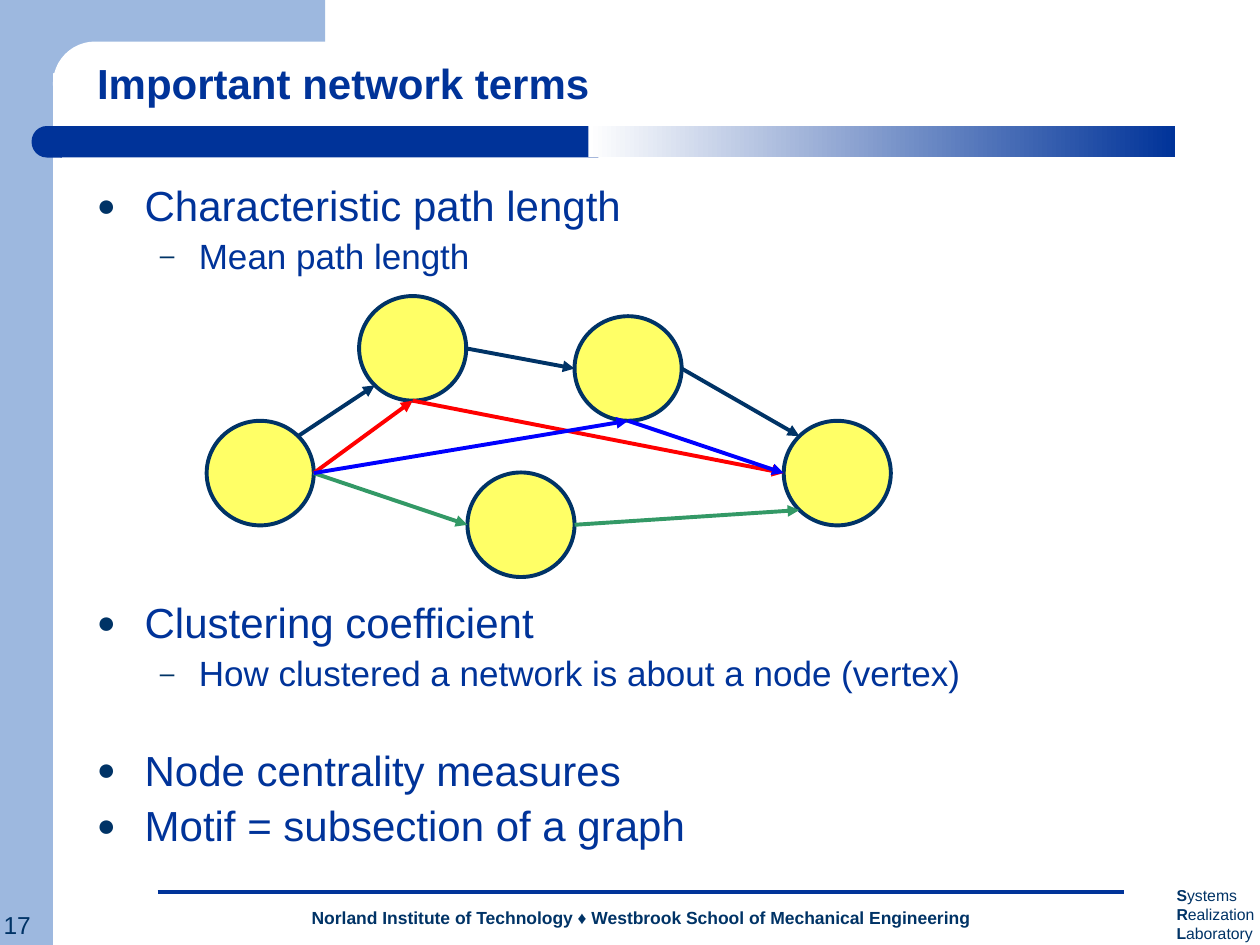
import math

import pptx
import pptx.util
import pptx.dml.color
import pptx.enum.dml
import pptx.enum.shapes
import pptx.enum.text
import pptx.oxml
import pptx.oxml.ns
from lxml import etree
from pptx.util import Inches, Pt

SHAPE = pptx.enum.shapes.MSO_SHAPE
ALIGN = pptx.enum.text.PP_ALIGN
NAVY, INK, PALE, WHITE = "003399", "003366", "9DB8DF", "FFFFFF"
RED, GREEN, BLUE, YELLOW = "FF0000", "339966", "0000FF", "FFFF66"

NODE_W, NODE_H = 0.85, 0.83
# Top left corner of each node, relative to the network's box
NODES = {"start": (0, 0.99), "upper left": (1.21, 0), "upper right": (2.92, 0.16),
         "lower": (2.07, 1.4), "end": (4.58, 0.99)}
# Direction of each point on a node's rim, in degrees clockwise from the right
RIM = {"right": 0, "lower left": 135, "bottom": 90, "left": 180,
       "upper left": 225, "upper right": 315}
EDGES = [("start", "upper right", "upper left", "lower left", INK),
         ("upper left", "right", "upper right", "left", INK),
         ("upper right", "right", "end", "upper left", INK),
         ("start", "right", "lower", "left", GREEN),
         ("lower", "right", "end", "lower left", GREEN),
         ("start", "right", "upper left", "bottom", RED),
         ("upper left", "bottom", "end", "left", RED),
         ("start", "right", "upper right", "bottom", BLUE),
         ("upper right", "bottom", "end", "left", BLUE)]
# Text, level, space before in points
TERMS = [("Characteristic path length", 0, 6),
         ("Mean path length", 1, 5),
         ("Clustering coefficient", 0, 186),
         ("How clustered a network is about a node (vertex)", 1, 5),
         ("Node centrality measures", 0, 31.7),
         ("Motif = subsection of a graph", 0, 6)]
# Size, left margin, hanging indent and bullet of each level
LEVELS = [(24, 0.38, 0.38, "●"), (20, 0.81, 0.31, "–")]


def rgb(color):
    return pptx.dml.color.RGBColor.from_string(color)


def add_shape(s, kind, x, y, w, h, fill, line=None):
    sp = s.shapes.add_shape(kind, Inches(x), Inches(y), Inches(w), Inches(h))
    sp.shadow.inherit = False
    sp.fill.solid()
    sp.fill.fore_color.rgb = rgb(fill)
    if line:
        sp.line.color.rgb = rgb(line)
        sp.line.width = Pt(2.25)
    else:
        sp.line.fill.background()
    return sp


def add_line(s, start, end, color, arrow=False):
    line = s.shapes.add_connector(pptx.enum.shapes.MSO_CONNECTOR.STRAIGHT,
                                  *[Inches(v) for v in (*start, *end)])
    line.line.color.rgb = rgb(color)
    line.line.width = Pt(2.25)
    if arrow:
        ln = line.line._get_or_add_ln()
        etree.SubElement(ln, pptx.oxml.ns.qn("a:tailEnd"), type="triangle")
    etree.SubElement(line._element.spPr, pptx.oxml.ns.qn("a:effectLst"))
    return line


def add_text_box(s, x, y, w, h):
    tf = s.shapes.add_textbox(Inches(x), Inches(y), Inches(w), Inches(h)).text_frame
    tf.word_wrap = True
    return tf


def format_run(r, size, color, bold=False):
    r.font.name = "Arial"
    r.font.size = Pt(size)
    r.font.bold = bold
    r.font.color.rgb = rgb(color)


def set_bullet(p, margin, hanging, char):
    pPr = p._p.get_or_add_pPr()
    pPr.set("marL", str(Inches(margin)))
    pPr.set("indent", str(-Inches(hanging)))
    color = etree.SubElement(pPr, pptx.oxml.ns.qn("a:buClr"))
    etree.SubElement(color, pptx.oxml.ns.qn("a:srgbClr"), val=INK)
    etree.SubElement(pPr, pptx.oxml.ns.qn("a:buSzPct"), val="75000")
    etree.SubElement(pPr, pptx.oxml.ns.qn("a:buFont"), typeface="Arial")
    etree.SubElement(pPr, pptx.oxml.ns.qn("a:buChar"), char=char)


def add_frame(s, w, h):
    # Side band with its rounded inner corner
    add_shape(s, SHAPE.RECTANGLE, 0, 0, 0.42, h, PALE)
    add_shape(s, SHAPE.RECTANGLE, 0.33, 0, 2.25, 0.58, PALE)
    corner = add_shape(s, SHAPE.ROUNDED_RECTANGLE, 0.42, 0.33, 5.83, 0.67, WHITE)
    corner.adjustments[0] = 0.5

    # Bar under the title
    add_shape(s, SHAPE.RECTANGLE, 0.48, 1, 4.27, 0.25, NAVY)
    cap = add_shape(s, SHAPE.FLOWCHART_DELAY, 0.25, 1, 0.24, 0.25, NAVY)
    cap.rotation = 180
    fade = add_shape(s, SHAPE.RECTANGLE, 4.67, 1, w - 5.34, 0.25, WHITE)
    fade.fill.gradient()
    fade.fill.gradient_angle = 0
    for stop, color in zip(fade.fill.gradient_stops, (WHITE, NAVY)):
        stop.color.rgb = rgb(color)


def add_footer(s, x, y, w):
    add_line(s, (x + 1.25, y + 0.1), (x + w - 1.08, y + 0.1), NAVY)

    # Institution
    tf = add_text_box(s, x + 0.92, y + 0.19, w - 1.67, 0.25)
    p = tf.paragraphs[0]
    p.text = "Norland Institute of Technology ♦ Westbrook School of Mechanical Engineering"
    p.alignment = ALIGN.CENTER
    p.line_spacing = 0.9
    format_run(p.runs[0], 10, INK, bold=True)

    # Slide number
    tf = add_text_box(s, x - 0.07, y + 0.19, 0.49, 0.34)
    tf.text = "17"
    format_run(tf.paragraphs[0].runs[0], 14, INK)

    # Laboratory, with bold initials
    tf = add_text_box(s, x + w - 0.76, y, 1, 0.55)
    for i, word in enumerate(("Systems", "Realization", "Laboratory")):
        p = tf.paragraphs[0] if i == 0 else tf.add_paragraph()
        for part, bold in ((word[0], True), (word[1:], False)):
            r = p.add_run()
            r.text = part
            format_run(r, 9, INK, bold)


def set_title(s, x, y, w, h):
    title = s.shapes.title
    title.left, title.top, title.width, title.height = map(Inches, (x, y, w, h))
    title._element.getparent().append(title._element)  # in front of the frame
    tf = title.text_frame
    tf.text = "Important network terms"
    tf.auto_size = pptx.enum.text.MSO_AUTO_SIZE.NONE
    tf.vertical_anchor = pptx.enum.text.MSO_ANCHOR.BOTTOM
    p = tf.paragraphs[0]
    p.alignment = ALIGN.LEFT
    p.line_spacing = 0.9
    format_run(p.runs[0], 24, NAVY, bold=True)


def add_terms(s, x, y, w, h):
    tf = add_text_box(s, x, y, w, h)
    for i, (text, level, space) in enumerate(TERMS):
        size, margin, hanging, char = LEVELS[level]
        p = tf.paragraphs[0] if i == 0 else tf.add_paragraph()
        p.text = text
        p.level = level
        p.line_spacing = 0.9
        p.space_before = Pt(space)
        set_bullet(p, margin, hanging, char)
        format_run(p.runs[0], size, NAVY)


def add_network(s, x, y):
    def rim_point(node, side):
        left, top = NODES[node]
        angle = math.radians(RIM[side])
        return (x + left + NODE_W / 2 * (1 + math.cos(angle)),
                y + top + NODE_H / 2 * (1 + math.sin(angle)))

    for left, top in NODES.values():
        add_shape(s, SHAPE.FLOWCHART_CONNECTOR, x + left, y + top,
                  NODE_W, NODE_H, YELLOW, INK)
    for source, out_side, target, in_side, color in EDGES:
        add_line(s, rim_point(source, out_side), rim_point(target, in_side),
                 color, arrow=True)


def main():
    prs = pptx.Presentation()
    prs.slide_width, prs.slide_height = Inches(10), Inches(7.5)
    s = prs.slides.add_slide(prs.slide_layouts[5])
    add_frame(s, 10, 7.5)
    add_footer(s, 0, 6.98, 10)
    set_title(s, 0.67, 0.33, 8.75, 0.58)
    add_terms(s, 0.67, 1.42, 9, 5.5)
    add_network(s, 1.64, 2.35)
    prs.save("out.pptx")


if __name__ == "__main__":
    main()
